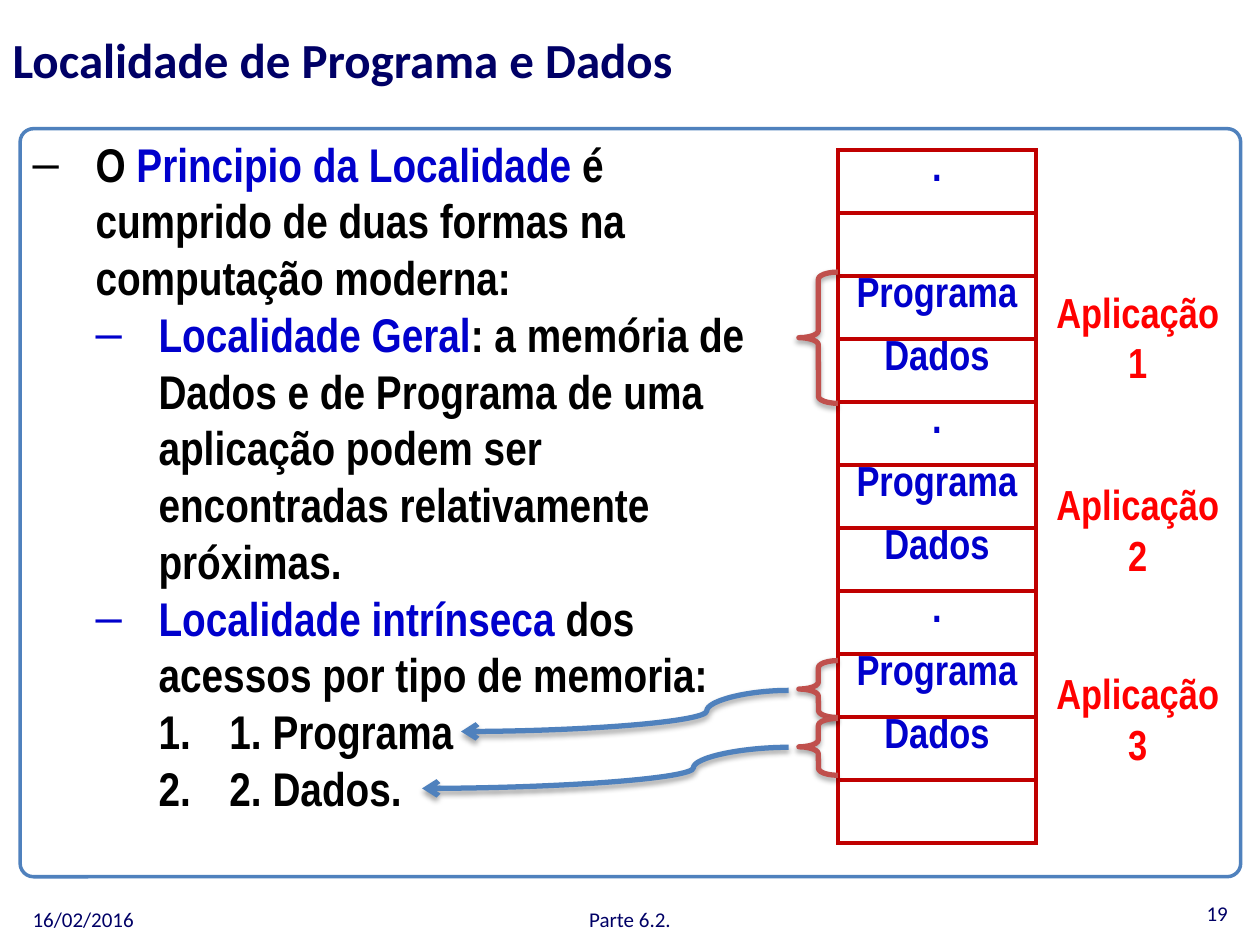
from lxml import etree
from pptx import Presentation
from pptx import util as u
from pptx.dml import color
from pptx.enum import shapes, text
from pptx.oxml import ns, parse_xml

NAVY, BLUE, BLACK, RED = "000066", "0000CC", "000000", "FF0000"
FRAME, BRACE, GRID = "4F81BD", "C0504D", "C00000"
HEADING, NARROW = "Calibri", "Arial Narrow"
LEFT, CENTER, RIGHT = text.PP_ALIGN.LEFT, text.PP_ALIGN.CENTER, text.PP_ALIGN.RIGHT

# Each paragraph: level, left indent, first-line indent, bullet, runs
BODY = [
    (0, 36, -36, "–", [("O ", BLACK), ("Principio da Localidade", BLUE),
                       (" é cumprido de duas formas na computação moderna:", BLACK)]),
    (1, 72, -36, "–", [("Localidade Geral", BLUE),
                       (": a memória de Dados e de Programa de uma aplicação podem ser "
                        "encontradas relativamente próximas.", BLACK)]),
    (1, 72, -36, "–", [("Localidade intrínseca ", BLUE),
                       ("dos acessos por tipo de memoria:", BLACK)]),
    (2, 112.5, -40.5, None, [("1. Programa", BLACK)]),
    (2, 112.5, -40.5, None, [("2. Dados.", BLACK)]),
]
MEMORY = [".", "", "Programa", "Dados", ".", "Programa", "Dados", ".", "Programa", "Dados", ""]


def box(*lengths):
    return [u.Pt(length) for length in lengths]


def rgb(value):
    return color.RGBColor.from_string(value)


def add_run(paragraph, words, size, font, hex_color, bold=False):
    run = paragraph.add_run()
    run.text = words
    run.font.size = u.Pt(size)
    run.font.name = font
    run.font.bold = bold
    run.font.color.rgb = rgb(hex_color)


def add_label(slide, position, words, size, font, hex_color, align,
              bold=False, anchor=text.MSO_ANCHOR.TOP):
    frame = slide.shapes.add_textbox(*box(*position)).text_frame
    frame.word_wrap = True
    frame.vertical_anchor = anchor
    paragraph = frame.paragraphs[0]
    paragraph.alignment = align
    add_run(paragraph, words, size, font, hex_color, bold)


def add_bullet(paragraph, level, left, first_line, bullet):
    paragraph.level = level
    properties = paragraph._p.get_or_add_pPr()
    properties.set("marL", str(u.Pt(left)))
    properties.set("indent", str(u.Pt(first_line)))
    if bullet:
        etree.SubElement(properties, ns.qn("a:buFont"), typeface="Arial")
        etree.SubElement(properties, ns.qn("a:buChar"), char=bullet)
    else:
        etree.SubElement(properties, ns.qn("a:buFont"), typeface="+mj-lt")
        etree.SubElement(properties, ns.qn("a:buAutoNum"), type="arabicPeriod")


def add_body(slide):
    frame = slide.shapes.add_textbox(*box(11.5, 73.5, 422.5, 399.5)).text_frame
    frame.word_wrap = True
    for index, (level, left, first_line, bullet, runs) in enumerate(BODY):
        paragraph = frame.add_paragraph() if index else frame.paragraphs[0]
        add_bullet(paragraph, level, left, first_line, bullet)
        for words, hex_color in runs:
            add_run(paragraph, words, 27, NARROW, hex_color, True)


def add_shadow(shape):
    shape._element.spPr.append(parse_xml(
        f'<a:effectLst {ns.nsdecls("a")}>'
        '<a:outerShdw blurRad="39400" dist="22900" dir="5400000" rotWithShape="0">'
        '<a:srgbClr val="000000"><a:alpha val="35000"/></a:srgbClr>'
        '</a:outerShdw></a:effectLst>'))


def add_outline(slide, kind, position, hex_color, width, adjustment):
    shape = slide.shapes.add_shape(kind, *box(*position))
    shape.adjustments[0] = adjustment
    shape.fill.background()
    shape.line.color.rgb = rgb(hex_color)
    shape.line.width = u.Pt(width)
    return shape


def add_brace(slide, top, height):
    shape = add_outline(slide, shapes.MSO_SHAPE.LEFT_BRACE,
                        (456.5, top, 22.3, height), BRACE, 3, 0.18)
    add_shadow(shape)


def add_arrow(slide, start, end, bend):
    connector = slide.shapes.add_connector(shapes.MSO_CONNECTOR.CURVE, *box(*start, *end))
    connector.line.color.rgb = rgb(FRAME)
    connector.line.width = u.Pt(3)
    etree.SubElement(connector.line._ln, ns.qn("a:tailEnd"), type="arrow")
    guides = connector._element.spPr.find(ns.qn("a:prstGeom")).get_or_add_avLst()
    etree.SubElement(guides, ns.qn("a:gd"), name="adj1", fmla=f"val {round(bend * 100000)}")
    add_shadow(connector)


def add_borders(cell):
    properties = cell._tc.get_or_add_tcPr()
    for side in ("lnL", "lnR", "lnT", "lnB"):
        line = etree.SubElement(properties, ns.qn(f"a:{side}"), w=str(u.Pt(2.25)))
        fill = etree.SubElement(line, ns.qn("a:solidFill"))
        etree.SubElement(fill, ns.qn("a:srgbClr"), val=GRID)


def add_memory(slide):
    row_height = 36
    table = slide.shapes.add_table(
        len(MEMORY), 1, *box(478.8, 85.7, 113.2, row_height * len(MEMORY))).table
    table.first_row = table.horz_banding = False
    for row, words in zip(table.rows, MEMORY):
        row.height = u.Pt(row_height)
        cell = row.cells[0]
        add_borders(cell)
        cell.fill.background()
        if words:
            paragraph = cell.text_frame.paragraphs[0]
            paragraph.alignment = CENTER
            paragraph.line_spacing = 0.8
            add_run(paragraph, words, 24, NARROW, BLUE, True)


def add_title(slide):
    title = slide.shapes.title
    title.left, title.top, title.width, title.height = box(0, 0, 405.5, 67.5)
    frame = title.text_frame
    frame.vertical_anchor = text.MSO_ANCHOR.MIDDLE
    frame.paragraphs[0].alignment = LEFT
    add_run(frame.paragraphs[0], "Localidade de Programa e Dados", 28, HEADING, NAVY, True)


def main():
    presentation = Presentation()
    presentation.slide_width, presentation.slide_height = box(720, 540)
    slide = presentation.slides.add_slide(presentation.slide_layouts[5])

    # Frame, title and body
    frame = add_outline(slide, shapes.MSO_SHAPE.ROUNDED_RECTANGLE,
                        (11.5, 73.5, 697.5, 427.5), FRAME, 2, 0.018)
    frame.shadow.inherit = False
    add_title(slide)
    add_body(slide)

    # Memory column with its applications
    add_memory(slide)
    for number, top in enumerate((160, 270, 378), start=1):
        add_label(slide, (594.7, top, 110.9, 65.5), f"Aplicação {number}",
                  24, NARROW, RED, CENTER, True)

    # Braces, and arrows to the numbered items
    for top, height in ((377.5, 32.5), (410.5, 32.5), (155.5, 75)):
        add_brace(slide, top, height)
    add_arrow(slide, (450.7, 394.5), (263.5, 418), 0.25)
    add_arrow(slide, (450.7, 427), (241.2, 450.5), 0.26)

    # Footer
    for position, words, align in (
            ((11.5, 511, 168, 28.8), "16/02/2016", LEFT),
            ((246, 511, 228, 28.8), "Parte 6.2.", CENTER),
            ((540.7, 507.6, 168, 28.8), "19", RIGHT)):
        add_label(slide, position, words, 12, HEADING, NAVY, align,
                  anchor=text.MSO_ANCHOR.MIDDLE)

    presentation.save("out.pptx")


if __name__ == "__main__":
    main()
